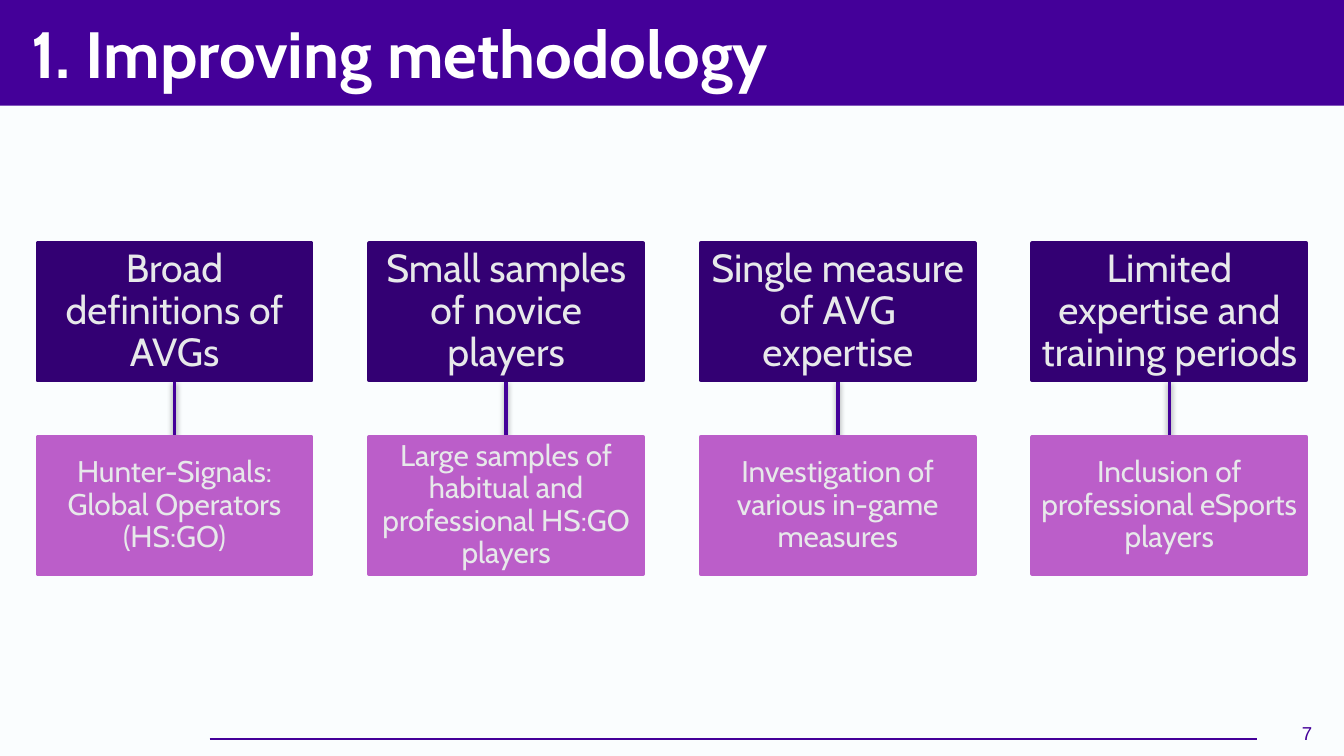
import pptx
import pptx.dml.color
import pptx.enum.shapes
import pptx.enum.text
import pptx.oxml
import pptx.oxml.ns
import pptx.util

Cm = pptx.util.Cm
Pt = pptx.util.Pt
ALIGN = pptx.enum.text.PP_ALIGN

PURPLE = "440099"
DARK = "330073"
ORCHID = "BB5EC9"
PALE = "E7E9EA"
WHITE = "FFFFFF"
BACKGROUND = "FAFDFE"

COLUMNS = [
    ("Broad definitions of AVGs", "Hunter-Signals: Global Operators (HS:GO)"),
    ("Small samples of novice players",
     "Large samples of habitual and professional HS:GO players"),
    ("Single measure of AVG expertise", "Investigation of various in-game measures"),
    ("Limited expertise and training periods",
     "Inclusion of professional eSports players"),
]

SHADOW = (
    f'<a:effectLst {pptx.oxml.ns.nsdecls("a")}>'
    '<a:outerShdw blurRad="39370" dist="20320" dir="5400000" rotWithShape="0">'
    '<a:srgbClr val="000000"><a:alpha val="38000"/></a:srgbClr>'
    '</a:outerShdw></a:effectLst>'
)


def color(value):
    return pptx.dml.color.RGBColor.from_string(value)


def write(shape, text, size, font, text_color, align, inset, bold=False, spacing=1.0):
    frame = shape.text_frame
    frame.word_wrap = True
    frame.vertical_anchor = pptx.enum.text.MSO_ANCHOR.MIDDLE
    frame.margin_left = frame.margin_right = Cm(inset)
    frame.margin_top = frame.margin_bottom = Cm(inset)
    paragraph = frame.paragraphs[0]
    paragraph.alignment = align
    paragraph.line_spacing = spacing
    run = paragraph.add_run()
    run.text = text
    run.font.size = Pt(size)
    run.font.name = font
    run.font.bold = bold
    run.font.color.rgb = color(text_color)


def add_rectangle(slide, left, top, width, height, fill):
    shape = slide.shapes.add_shape(
        pptx.enum.shapes.MSO_SHAPE.RECTANGLE,
        Cm(left), Cm(top), Cm(width), Cm(height))
    shape.shadow.inherit = False
    shape.fill.solid()
    shape.fill.fore_color.rgb = color(fill)
    shape.line.fill.background()
    return shape


def add_line(slide, start_x, start_y, end_x, end_y, width, effects):
    line = slide.shapes.add_connector(
        pptx.enum.shapes.MSO_CONNECTOR.STRAIGHT,
        Cm(start_x), Cm(start_y), Cm(end_x), Cm(end_y))
    line.line.color.rgb = color(PURPLE)
    line.line.width = Pt(width)
    line._element.spPr.append(pptx.oxml.parse_xml(effects))


def add_header(slide, left, top, width, height, title):
    add_rectangle(slide, left, top, width, height, PURPLE)
    box = slide.shapes.add_textbox(
        Cm(left + 0.4), Cm(top + 0.2), Cm(width - 2.74), Cm(height - 0.4))
    write(box, title, 35, "Cabin", WHITE, ALIGN.LEFT, 0.25, bold=True)


def add_footer(slide, left, top, width, height, number):
    number_width = 1.3
    rule_end = left + width - number_width
    rule_y = top + 0.66
    add_line(slide, left, rule_y, rule_end, rule_y, 0.75,
             f'<a:effectLst {pptx.oxml.ns.nsdecls("a")}/>')
    box = slide.shapes.add_textbox(
        Cm(rule_end), Cm(top), Cm(number_width), Cm(height))
    write(box, number, 10, "Arial", PURPLE, ALIGN.RIGHT, 0.25)


def add_card(slide, left, top, width, height, text, size, fill):
    card = add_rectangle(slide, left, top, width, height, fill)
    card.line.color.rgb = color(fill)
    card.line.width = Pt(2)
    write(card, text, size, "Cabin", PALE, ALIGN.CENTER, 0.03, spacing=0.9)


def add_columns(slide, left, top, width, height, columns):
    card_width, card_height = 5.18, 2.59
    pitch = (width - card_width) / (len(columns) - 1)
    answer_top = top + height - card_height
    for index, (problem, answer) in enumerate(columns):
        card_left = left + index * pitch
        middle = card_left + card_width / 2
        add_line(slide, middle, top + card_height, middle, answer_top, 2, SHADOW)
        add_card(slide, card_left, top, card_width, card_height, problem, 21, DARK)
        add_card(slide, card_left, answer_top, card_width, card_height,
                 answer, 16, ORCHID)


def main():
    presentation = pptx.Presentation()
    presentation.slide_width = Cm(25.4)
    presentation.slide_height = Cm(14.29)
    slide = presentation.slides.add_slide(presentation.slide_layouts[6])
    slide.background.fill.solid()
    slide.background.fill.fore_color.rgb = color(BACKGROUND)
    add_header(slide, -0.05, 0, 25.5, 2, "1. Improving methodology")
    add_footer(slide, 3.96, 13.31, 21.09, 1.09, "7")
    add_columns(slide, 0.71, 4.6, 23.98, 6.25, COLUMNS)
    presentation.save("out.pptx")


if __name__ == "__main__":
    main()
